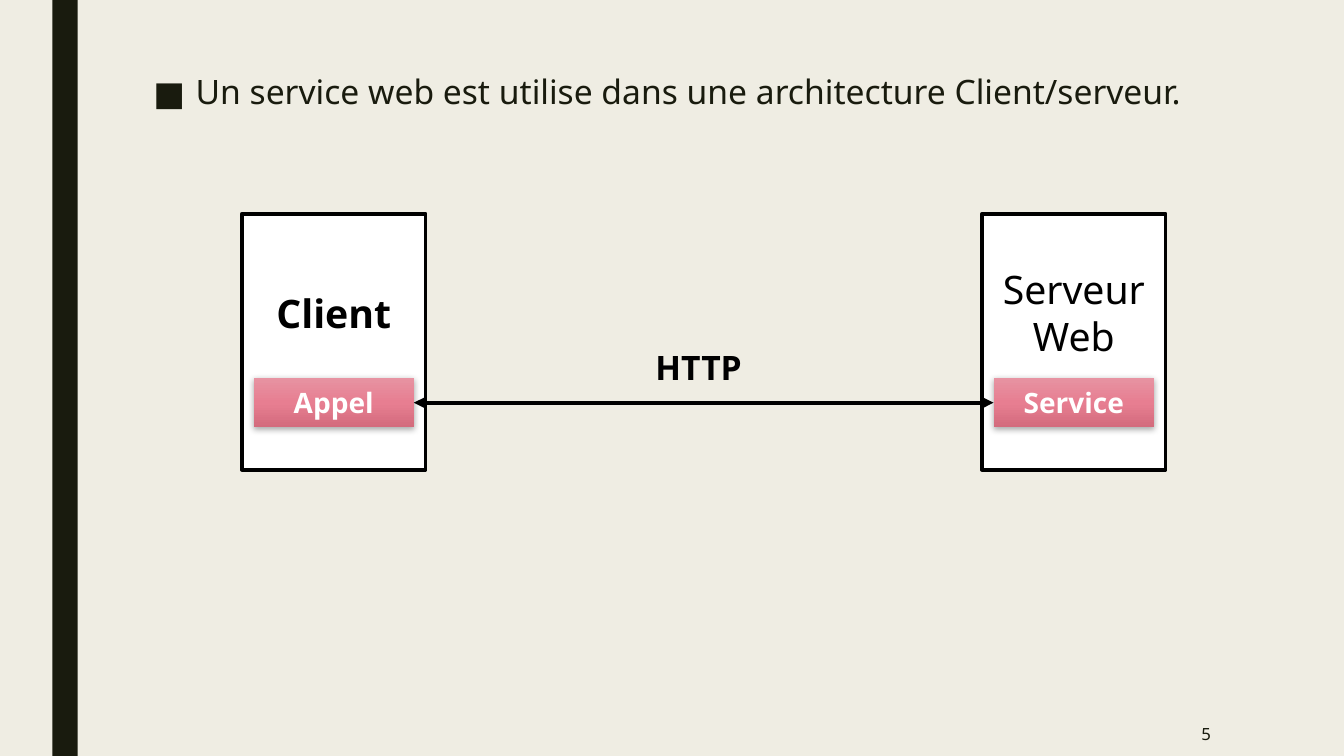
from copy import deepcopy

from lxml.etree import SubElement
from pptx import Presentation
from pptx.dml.color import RGBColor
from pptx.enum.shapes import MSO_CONNECTOR, MSO_SHAPE
from pptx.enum.text import MSO_ANCHOR, PP_ALIGN
from pptx.oxml.ns import qn
from pptx.util import Inches, Pt

FONT = "Noto Sans"
CREAM = RGBColor(0xEF, 0xED, 0xE3)
DARK = RGBColor(0x19, 0x1B, 0x0E)
BLACK = RGBColor(0, 0, 0)
WHITE = RGBColor(0xFF, 0xFF, 0xFF)
PINK_SHADES = (
    RGBColor(0xE7, 0x93, 0xA2),
    RGBColor(0xE7, 0x7E, 0x91),
    RGBColor(0xD3, 0x6B, 0x7D),
)

SLIDE_W, SLIDE_H = 13.33, 7.5
LINE_WIDTH = Pt(2.75)

# Diagram: two equal machines, each holding one component
MACHINE_W, MACHINE_H = 1.82, 2.54
COMPONENT_W, COMPONENT_H = 1.59, 0.49
COMPONENT_DROP = 1.63


def write(shape, text, size, color, align=PP_ALIGN.CENTER, bold=False,
          anchor=MSO_ANCHOR.MIDDLE):
    frame = shape.text_frame
    frame.word_wrap = True
    frame.vertical_anchor = anchor
    paragraph = frame.paragraphs[0]
    paragraph.text = text
    paragraph.alignment = align
    font = paragraph.font
    font.name, font.size, font.bold = FONT, Pt(size), bold
    font.color.rgb = color
    return paragraph


def add_rectangle(slide, left, top, width, height):
    rectangle = slide.shapes.add_shape(
        MSO_SHAPE.RECTANGLE, *map(Inches, (left, top, width, height)))
    rectangle.shadow.inherit = False
    rectangle.line.fill.background()
    return rectangle


def add_label(slide, left, top, width, height, text, size, color, **style):
    label = slide.shapes.add_textbox(*map(Inches, (left, top, width, height)))
    write(label, text, size, color, **style)


def add_background(slide):
    slide.background.fill.solid()
    slide.background.fill.fore_color.rgb = CREAM
    band = add_rectangle(slide, 0.52, 0, 0.25, SLIDE_H)
    band.fill.solid()
    band.fill.fore_color.rgb = DARK


def add_statement(slide, left, top, width, height, text):
    statement = slide.placeholders[1]
    statement.left, statement.top = Inches(left), Inches(top)
    statement.width, statement.height = Inches(width), Inches(height)
    paragraph = write(statement, text, 24, DARK, PP_ALIGN.LEFT,
                      anchor=MSO_ANCHOR.TOP)
    paragraph.line_spacing = 0.94
    paragraph.space_before, paragraph.space_after = Pt(10), Pt(2)

    # Square bullet with a hanging indent
    properties = paragraph._p.get_or_add_pPr()
    properties.set("marL", str(Inches(0.42)))
    properties.set("indent", str(Inches(-0.42)))
    SubElement(properties, qn("a:buFont"), typeface=FONT)
    SubElement(properties, qn("a:buChar"), char="■")


def shade_pink(component):
    component.fill.gradient()
    component.fill.gradient_angle = 270
    stop_list = component._element.spPr.find(".//" + qn("a:gsLst"))
    stop_list.insert(1, deepcopy(stop_list[0]))
    for index, stop in enumerate(component.fill.gradient_stops):
        stop.position = index / 2
        stop.color.rgb = PINK_SHADES[index]


def drop_shadow(component):
    effects = component._element.spPr.find(qn("a:effectLst"))
    shadow = SubElement(effects, qn("a:outerShdw"), blurRad=str(Pt(4.5)),
                        dist=str(Pt(1.5)), dir="5400000", rotWithShape="0")
    tint = SubElement(shadow, qn("a:srgbClr"), val=str(BLACK))
    SubElement(tint, qn("a:alpha"), val="35000")


def add_machine(slide, left, top, name, component_name, bold=False):
    machine = add_rectangle(slide, left, top, MACHINE_W, MACHINE_H)
    machine.fill.solid()
    machine.fill.fore_color.rgb = WHITE
    machine.line.color.rgb = BLACK
    machine.line.width = LINE_WIDTH
    write(machine, name, 28, BLACK, bold=bold)
    machine.text_frame.margin_bottom = Inches(0.63)

    # Component centred in the lower part of the machine
    component = add_rectangle(
        slide, left + (MACHINE_W - COMPONENT_W) / 2, top + COMPONENT_DROP,
        COMPONENT_W, COMPONENT_H)
    shade_pink(component)
    drop_shadow(component)
    write(component, component_name, 20, WHITE, bold=True)
    return component


def add_exchange(slide, call, service):
    exchange = slide.shapes.add_connector(MSO_CONNECTOR.STRAIGHT, 0, 0, 0, 0)
    exchange.begin_connect(call, 3)
    exchange.end_connect(service, 1)
    exchange.line.color.rgb = BLACK
    exchange.line.width = LINE_WIDTH
    outline = exchange.line._get_or_add_ln()
    for end in ("a:headEnd", "a:tailEnd"):
        SubElement(outline, qn(end), type="triangle")
    SubElement(exchange._element.spPr, qn("a:effectLst"))


def add_architecture(slide, left, top, width):
    call = add_machine(slide, left, top, "Client", "Appel", bold=True)
    service = add_machine(slide, left + width - MACHINE_W, top,
                          "Serveur Web", "Service")
    add_exchange(slide, call, service)
    add_label(slide, left + 3.51, top + 1.27, 2.04, 0.5, "HTTP", 24, BLACK,
              bold=True, anchor=MSO_ANCHOR.TOP)


def main():
    presentation = Presentation()
    presentation.slide_width = Inches(SLIDE_W)
    presentation.slide_height = Inches(SLIDE_H)
    slide = presentation.slides.add_slide(presentation.slide_layouts[1])

    # The slide has no title
    title = slide.shapes.title._element
    title.getparent().remove(title)

    add_background(slide)
    add_statement(
        slide, 1.42, 0.69, 10.5, 5.72,
        "Un service web est utilise dans une architecture Client/serveur.")
    add_architecture(slide, 2.4, 2.12, 9.16)
    add_label(slide, 10.36, 7.06, 1.75, 0.44, "5", 12, DARK,
              align=PP_ALIGN.RIGHT)
    presentation.save("out.pptx")


if __name__ == "__main__":
    main()
